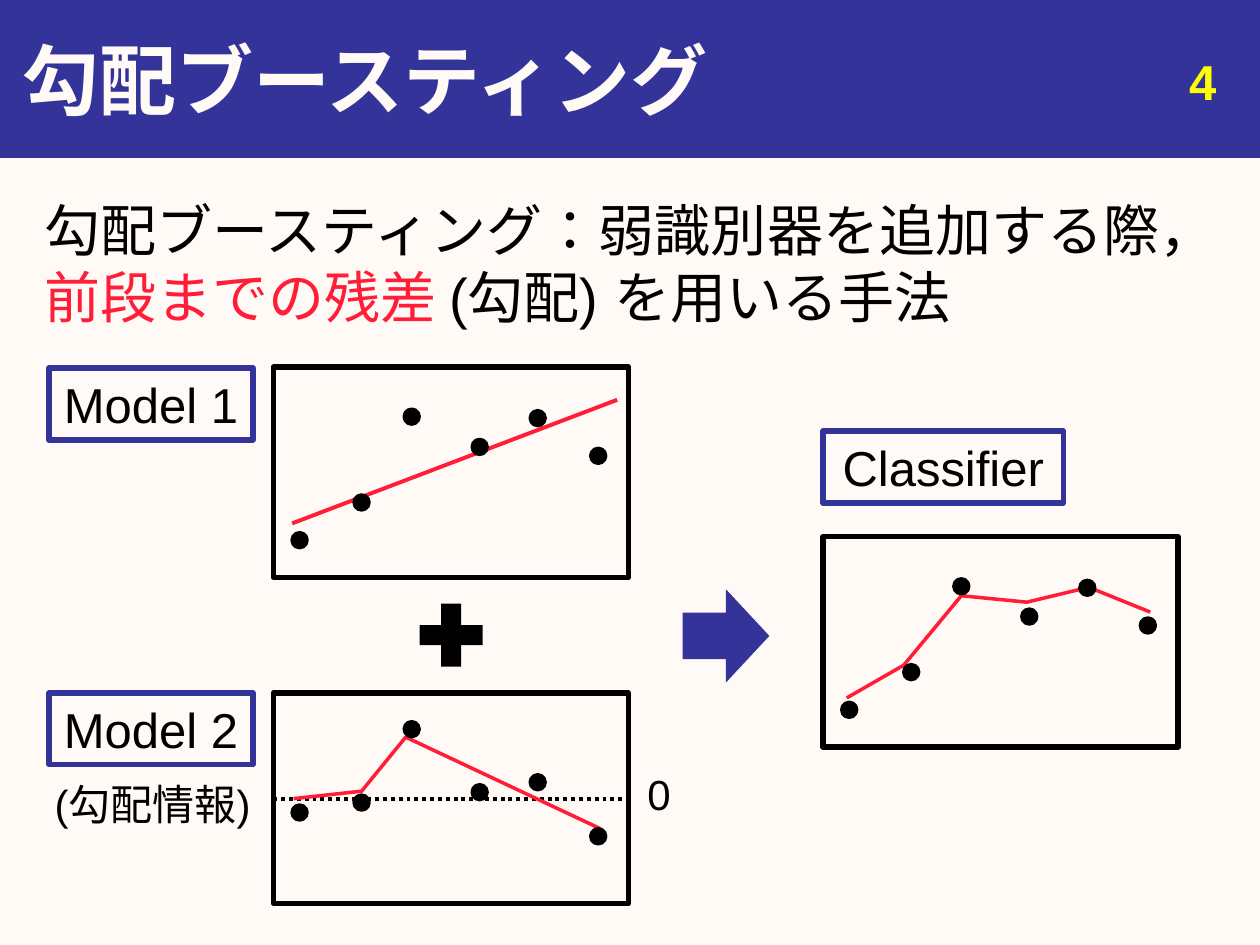
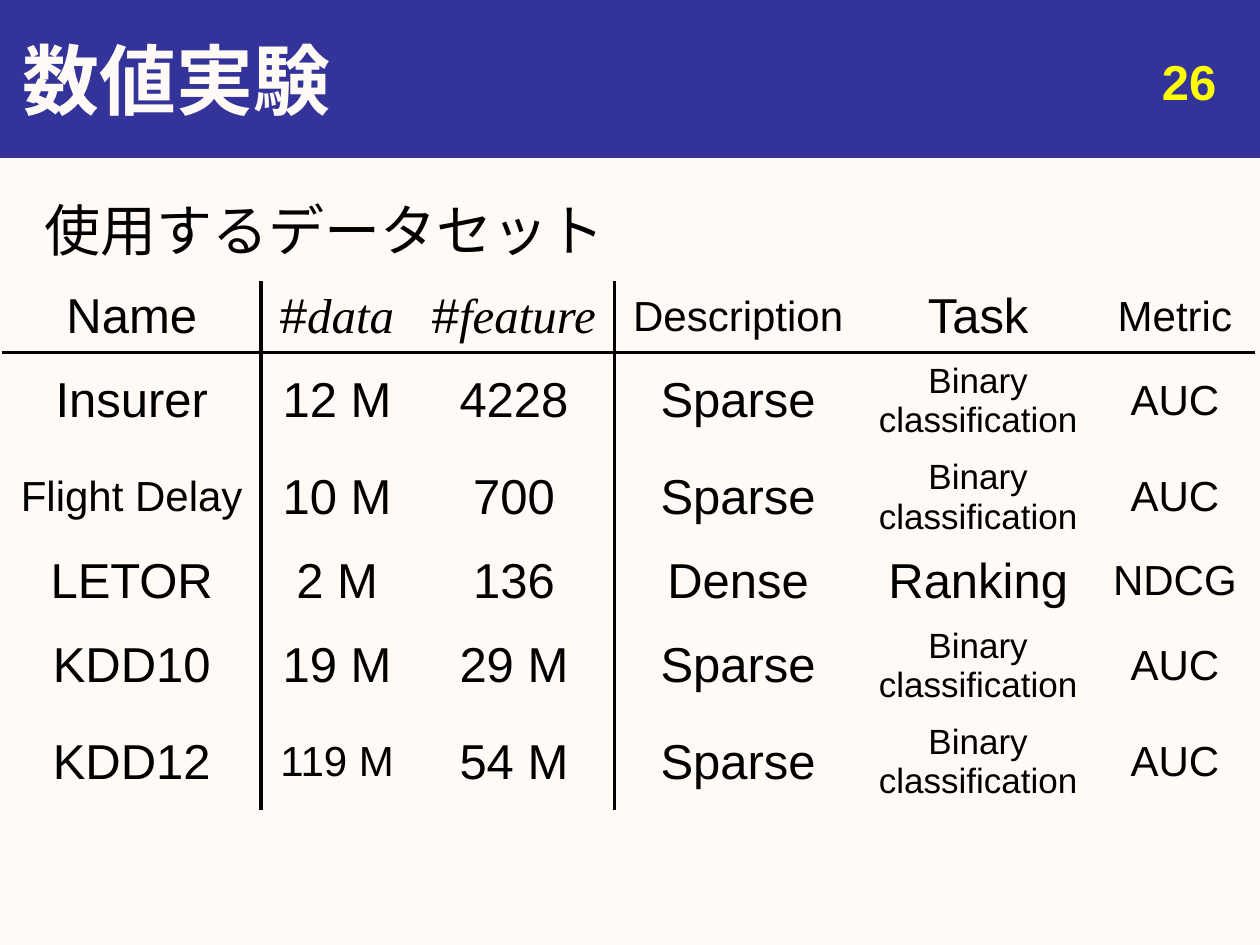
from dataclasses import dataclass

from lxml.etree import SubElement
from pptx import Presentation
from pptx.dml.color import RGBColor as Rgb
from pptx.enum.dml import MSO_LINE as Dash
from pptx.enum.lang import MSO_LANGUAGE_ID as Lang
from pptx.enum.shapes import MSO_CONNECTOR as Link, MSO_SHAPE as Kind
from pptx.enum.text import MSO_ANCHOR as Anchor, MSO_AUTO_SIZE as Fit, PP_ALIGN as Align
from pptx.oxml.ns import qn
from pptx.util import Cm, Pt


@dataclass(frozen=True)
class Theme:
    """Colours, faces and type sizes of the deck."""
    paper: Rgb = Rgb(0xFF, 0xFA, 0xF5)
    band: Rgb = Rgb(0x33, 0x33, 0x99)
    ink: Rgb = Rgb(0, 0, 0)
    red: Rgb = Rgb(0xFF, 0x1D, 0x38)
    page: Rgb = Rgb(0xFF, 0xFF, 0)
    face: str = "Arial"
    serif: str = "Times New Roman"
    title: int = 44
    body: int = 32
    label: int = 28
    note: int = 24
    small: int = 20


T = Theme()
WIDE, HIGH, DOT = 7.16, 4.24, 0.3
DOT_X = (0.38, 1.63, 2.64, 4.01, 5.18, 6.4)
DATA_Y = (3.34, 2.58, 0.85, 1.46, 0.88, 1.64)
REST_Y = (2.26, 2.06, 0.58, 1.85, 1.65, 2.74)
FIT = ((0.38, 3.15), (6.93, 0.66))
REST_FIT = ((0.41, 2.13), (1.78, 1.98), (2.67, 0.89), (6.6, 2.74))
SUM_FIT = ((0.48, 3.25), (1.63, 2.59), (2.79, 1.19),
           (4.11, 1.32), (5.36, 1.02), (6.6, 1.52))
BINARY = "Binary\nclassification"
ROWS = (
    ("Name", "#data", "#feature", "Description", "Task", "Metric"),
    ("Insurer", "12 M", "4228", "Sparse", BINARY, "AUC"),
    ("Flight Delay", "10 M", "700", "Sparse", BINARY, "AUC"),
    ("LETOR", "2 M", "136", "Dense", "Ranking", "NDCG"),
    ("KDD10", "19 M", "29 M", "Sparse", BINARY, "AUC"),
    ("KDD12", "119 M", "54 M", "Sparse", BINARY, "AUC"),
)
COLS = (5.21, 3.07, 4.06, 4.98, 4.7, 3.23)
SIZES = {BINARY: T.small} | dict.fromkeys(
    ("Flight Delay", "119 M", "Description", "Metric", "AUC", "NDCG"), T.note)
PLAIN = "{2D5ABB26-0587-4C30-8999-92F81FD0307C}"


def box(*nums):
    """Turn centimetre numbers into lengths."""
    return [Cm(num) for num in nums]


def say(para, text, size, ink=T.ink, bold=False, slant=False, face=T.face):
    """Add text to a paragraph, one run per line."""
    for num, line in enumerate(text.split("\n")):
        if num:
            para.add_line_break()
        if line:
            run = para.add_run()
            run.text = line
            font = run.font
            font.name, font.size, font.bold, font.italic = face, Pt(size), bold, slant
            font.color.rgb = ink
            font.language_id = Lang.JAPANESE


def paint(shape, fill=None, line=None, width=2):
    """Set fill and outline, and drop the shadow."""
    shape.shadow.inherit = False
    if fill is None:
        shape.fill.background()
    else:
        shape.fill.solid()
        shape.fill.fore_color.rgb = fill
    if line is None:
        shape.line.fill.background()
    else:
        shape.line.color.rgb = line
        shape.line.width = Pt(width)
    return shape


def form(shapes, kind, place, **look):
    """Add a painted preset shape."""
    return paint(shapes.add_shape(kind, *box(*place)), **look)


def text(shapes, place, align, wrap=False):
    """Add a text box and return its first paragraph."""
    frame = shapes.add_textbox(*box(*place)).text_frame
    frame.word_wrap = wrap
    para = frame.paragraphs[0]
    para.alignment = align
    return para


def tag(shapes, x, y, width, name):
    """Add a framed model name."""
    shape = form(shapes, Kind.RECTANGLE, (x, y, width, 1.45), line=T.band, width=3)
    shape.text_frame.word_wrap = False
    para = shape.text_frame.paragraphs[0]
    para.alignment = Align.CENTER
    say(para, name, T.label)


def rule(shapes, start, end, ink, dash=None):
    """Add a straight line without shadow."""
    line = shapes.add_connector(Link.STRAIGHT, *box(*start, *end))
    line.line.color.rgb = ink
    line.line.width = Pt(2.25)
    line.line.dash_style = dash
    SubElement(line.element.spPr, qn("a:effectLst"))


def plot(slide, x, y, dots, trend, zero=None):
    """Add a framed scatter plot with its trend, and return its shapes."""
    shapes = slide.shapes.add_group_shape().shapes
    if zero is not None:
        rule(shapes, (x, y + zero), (x + WIDE, y + zero), T.ink, Dash.ROUND_DOT)
    pts = [(x + dx, y + dy) for dx, dy in trend]
    if len(pts) == 2:
        rule(shapes, *pts, T.red)
    else:
        path = shapes.build_freeform(*box(*pts[0]))
        path.add_line_segments([box(*pt) for pt in pts[1:]], close=False)
        paint(path.convert_to_shape(), line=T.red)
    form(shapes, Kind.RECTANGLE, (x, y, WIDE, HIGH), line=T.ink, width=3)
    for dx, dy in zip(DOT_X, dots):
        form(shapes, Kind.OVAL, (x + dx, y + dy, DOT, DOT), fill=T.ink, line=T.ink)
    return shapes


def start(deck, name, page):
    """Add a slide with band, title and page number."""
    slide = deck.slides.add_slide(deck.slide_layouts.get_by_name("Title Only"))
    band = form(slide.shapes, Kind.RECTANGLE, (0, 0, 25.4, 3.18),
                fill=T.band, line=T.band, width=0.75)
    slide.shapes.element.insert(2, band.element)
    title = slide.shapes.title
    title.left, title.top, title.width, title.height = box(0.2, 0, 25.2, 3.18)
    frame = title.text_frame
    frame.auto_size, frame.vertical_anchor = Fit.NONE, Anchor.MIDDLE
    para = frame.paragraphs[0]
    para.alignment = Align.LEFT
    say(para, name, T.title, T.paper, bold=True)
    para = text(slide.shapes, (18.85, 0.91, 5.92, 1.32), Align.RIGHT, True)
    say(para, page, T.label, T.page, bold=True)
    return slide


def lead(slide, *parts):
    """Add the opening text from pairs of words and colour."""
    para = text(slide.shapes, (0.64, 3.81, 24.13, 4), Align.JUSTIFY, True)
    para.space_before = Pt(T.body * 0.2)
    for words, ink in parts:
        say(para, words, T.body, ink)


def edge(cell, side):
    """Draw one border of a cell."""
    line = SubElement(cell._tc.get_or_add_tcPr(), qn(f"a:{side}"), w=str(Pt(2.25)))
    SubElement(SubElement(line, qn("a:solidFill")), qn("a:srgbClr"), val=str(T.ink))


def write(cell, words):
    """Fill a cell with centred text, setting #names in italics."""
    cell.vertical_anchor = Anchor.MIDDLE
    para = cell.text_frame.paragraphs[0]
    para.alignment = Align.CENTER
    if words.startswith("#"):
        say(para, "#", T.label)
        say(para, words[1:], T.label, slant=True, face=T.serif)
    else:
        say(para, words, SIZES.get(words, T.label))


def grid(slide):
    """Add the table of data sets."""
    frame = slide.shapes.add_table(len(ROWS), len(COLS),
                                   *box(0.05, 5.66, sum(COLS), 1.04 * len(ROWS)))
    table = frame.table
    table.first_row = table.horz_banding = False
    table._tbl.tblPr.find(qn("a:tableStyleId")).text = PLAIN
    for col, width in zip(table.columns, COLS):
        col.width = Cm(width)
    for r, row in enumerate(ROWS):
        for c, words in enumerate(row):
            cell = table.cell(r, c)
            write(cell, words)
            if c in (0, 2):
                edge(cell, "lnR")
            if r == 0:
                edge(cell, "lnB")
            cell.fill.background()


def boost(deck):
    """Build the gradient boosting slide."""
    slide = start(deck, "勾配ブースティング", "4")
    lead(slide, ("勾配ブースティング：弱識別器を追加する際，\n", T.ink),
         ("前段までの残差 ", T.red), ("(勾配) を用いる手法", T.ink))
    form(slide.shapes, Kind.MATH_PLUS, (8.23, 11.94, 1.73, 1.73), fill=T.ink)
    first = plot(slide, 5.51, 7.4, DATA_Y, FIT)
    tag(first, 0.99, 7.42, 4.11, "Model 1")
    second = plot(slide, 5.51, 13.97, REST_Y, REST_FIT, zero=2.13)
    tag(second, 0.99, 13.97, 4.11, "Model 2")
    say(text(second, (0.51, 15.57, 5.13, 1.27), Align.CENTER), "(勾配情報)", T.note)
    say(text(second, (12.8, 15.37, 0.89, 1.27), Align.CENTER), "0", T.note)
    form(slide.shapes, Kind.RIGHT_ARROW, (13.76, 11.88, 1.75, 1.88), fill=T.band)
    both = plot(slide, 16.59, 10.82, DATA_Y, SUM_FIT)
    tag(both, 16.59, 8.69, 4.85, "Classifier")


def trial(deck):
    """Build the numerical experiment slide."""
    slide = start(deck, "数値実験", "26")
    lead(slide, ("使用するデータセット", T.ink))
    grid(slide)


def main():
    """Build and save the deck."""
    deck = Presentation()
    deck.slide_width, deck.slide_height = box(25.4, 19.05)
    fill = deck.slide_master.background.fill
    fill.solid()
    fill.fore_color.rgb = T.paper
    boost(deck)
    trial(deck)
    deck.save("out.pptx")


if __name__ == "__main__":
    main()
